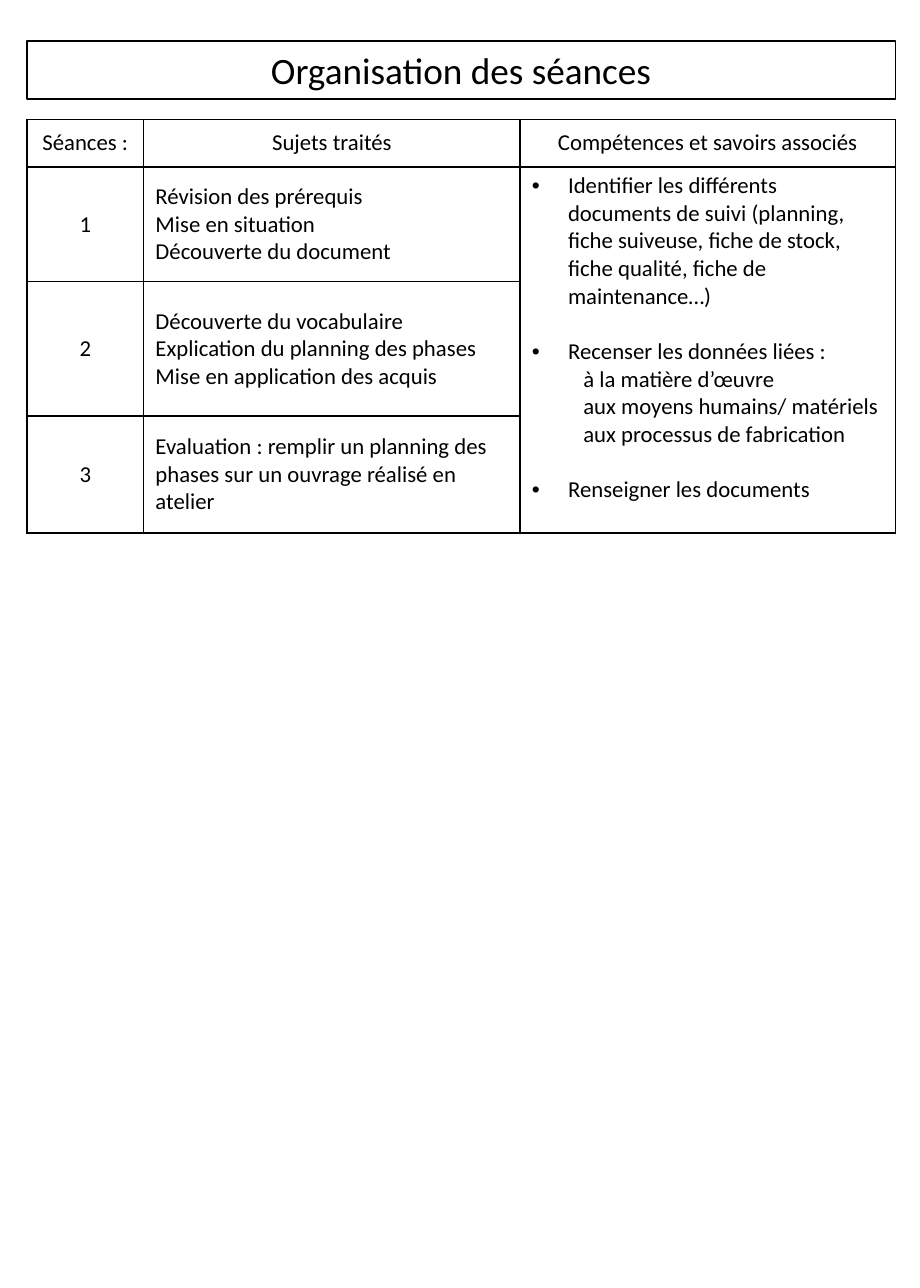
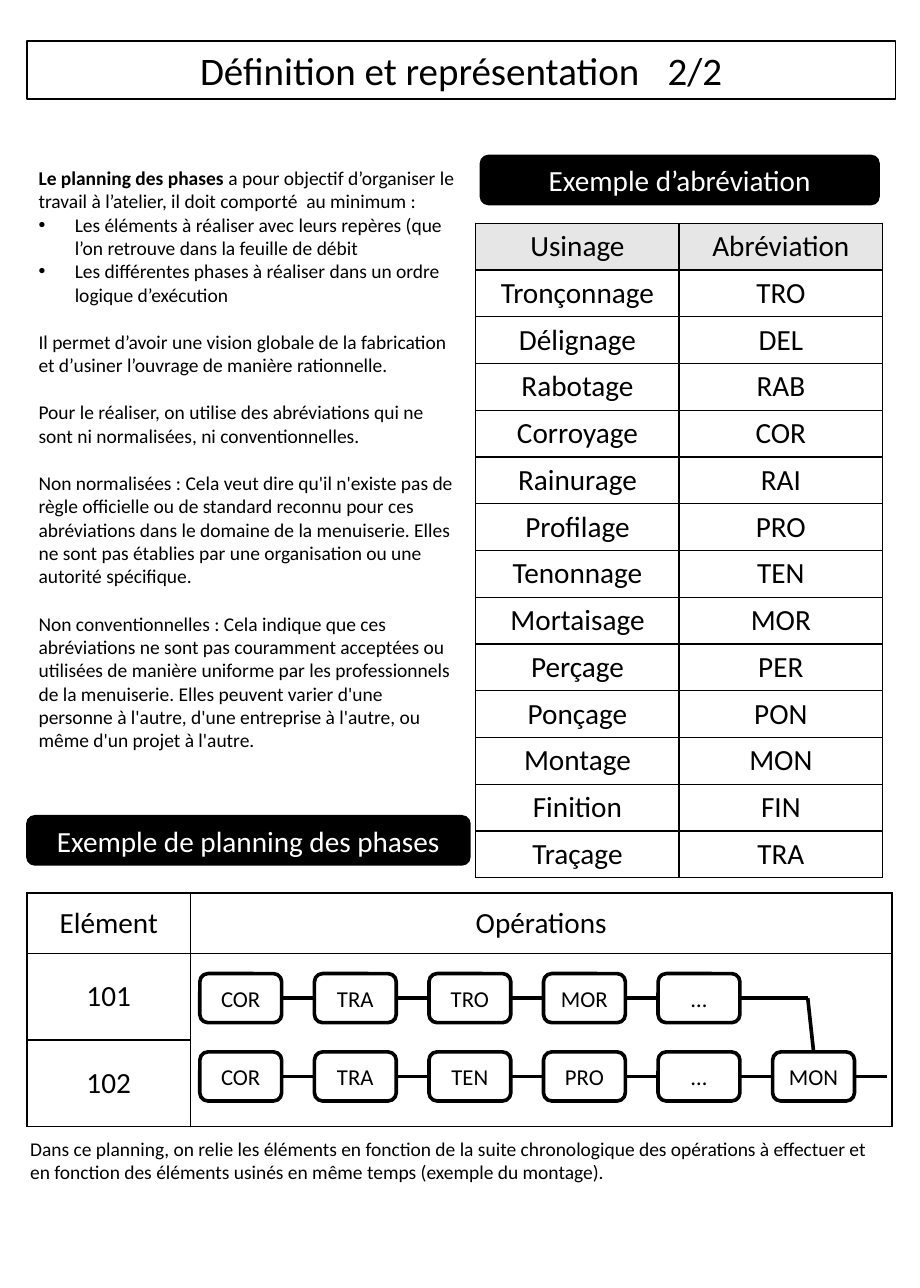
from dataclasses import dataclass

from lxml.etree import SubElement
from pptx import Presentation
from pptx.dml.color import RGBColor
from pptx.enum.shapes import MSO_CONNECTOR, MSO_SHAPE
from pptx.enum.text import MSO_ANCHOR, MSO_AUTO_SIZE, PP_ALIGN
from pptx.oxml import parse_xml
from pptx.oxml.ns import nsdecls, qn
from pptx.util import Inches, Pt

# Content: (text, style) lines, where a style names a key of LINE_STYLES
SESSIONS_TITLE = "Organisation des séances"
SESSIONS_HEAD = ["Séances :", "Sujets traités", "Compétences et savoirs associés"]
SESSIONS = [
    ["Révision des prérequis", "Mise en situation", "Découverte du document"],
    ["Découverte du vocabulaire", "Explication du planning des phases",
     "Mise en application des acquis"],
    ["Evaluation : remplir un planning des phases sur un ouvrage réalisé en atelier"],
]
SKILLS = [
    ("Identifier les différents documents de suivi (planning, fiche suiveuse, "
     "fiche de stock, fiche qualité, fiche de maintenance…)", "bullet_end"),
    ("Recenser les données liées :", "bullet"),
    ("à la matière d’œuvre", "sub"),
    ("aux moyens humains/ matériels", "sub"),
    ("aux processus de fabrication", "sub_end"),
    ("Renseigner les documents", "bullet"),
]

DEFINITION_TITLE = "Définition et représentation\t2/2"
DEFINITION_LEAD = "Le planning des phases "
DEFINITION = [
    ("a pour objectif d’organiser le travail à l’atelier, il doit comporté  au minimum :",
     "plain"),
    ("Les éléments à réaliser avec leurs repères (que l’on retrouve dans la feuille "
     "de débit", "bullet"),
    ("Les différentes phases à réaliser dans un ordre logique d’exécution", "bullet_end"),
    ("Il permet d’avoir une vision globale de la fabrication et d’usiner l’ouvrage de "
     "manière rationnelle.", "plain_end"),
    ("Pour le réaliser, on utilise des abréviations qui ne sont ni normalisées, ni "
     "conventionnelles.", "plain_end"),
    ("Non normalisées : Cela veut dire qu'il n'existe pas de règle officielle ou de "
     "standard reconnu pour ces abréviations dans le domaine de la menuiserie. Elles ne "
     "sont pas établies par une organisation ou une autorité spécifique.", "plain_end"),
    ("Non conventionnelles : Cela indique que ces abréviations ne sont pas couramment "
     "acceptées ou utilisées de manière uniforme par les professionnels de la menuiserie. "
     "Elles peuvent varier d'une personne à l'autre, d'une entreprise à l'autre, ou même "
     "d'un projet à l'autre.", "plain"),
]
ABBREVIATIONS = [
    ("Usinage", "Abréviation"), ("Tronçonnage", "TRO"), ("Délignage", "DEL"),
    ("Rabotage", "RAB"), ("Corroyage", "COR"), ("Rainurage", "RAI"),
    ("Profilage", "PRO"), ("Tenonnage", "TEN"), ("Mortaisage", "MOR"),
    ("Perçage", "PER"), ("Ponçage", "PON"), ("Montage", "MON"),
    ("Finition", "FIN"), ("Traçage", "TRA"),
]
BANNERS = [("Exemple d’abréviation", (4.11, 1.33, 3.41, 0.42)),
           ("Exemple de planning des phases", (0.23, 6.98, 3.79, 0.42))]
PLANNING_HEAD = ["Elément", "Opérations"]
PLANNING = {"101": ["COR", "TRA", "TRO", "MOR", "…"],
            "102": ["COR", "TRA", "TEN", "PRO", "…", "MON"]}
PLANNING_NOTE = ("Dans ce planning, on relie les éléments en fonction de la suite "
                 "chronologique des opérations à effectuer et en fonction des éléments "
                 "usinés en même temps (exemple du montage).")


@dataclass(frozen=True)
class Theme:
    font: str = "Calibri"
    ink: RGBColor = RGBColor(0, 0, 0)
    paper: RGBColor = RGBColor(255, 255, 255)
    header: RGBColor = RGBColor(0xE7, 0xE6, 0xE6)
    heading: float = 18
    body: float = 14
    small: float = 12
    thin: float = 1
    thick: float = 2.25


THEME = Theme()
PAGE_W, PAGE_H, LEFT = 7.87, 11.02, 0.23
TITLE_W, TITLE_TOP = PAGE_W - 0.44, 0.35
LINE_HEIGHT = 1.22
# Left margin, first-line indent, bullet
LINE_STYLES = {"plain": (0, 0, False), "bullet": (0.31, -0.31, True), "sub": (0.44, 0, False)}
RIGHT_SITE, LEFT_SITE = 3, 1


# Text
def style_runs(paragraph, size, color=THEME.ink):
    for run in paragraph.runs:
        run.font.name, run.font.size = THEME.font, Pt(size)
        run.font.color.rgb = color


def write(frame, text, size, color=THEME.ink, align=PP_ALIGN.CENTER):
    frame.text = text
    for paragraph in frame.paragraphs:
        paragraph.alignment = align
        style_runs(paragraph, size, color)


def write_lines(frame, lines, size, lead=None):
    for i, (text, style) in enumerate(lines):
        paragraph = frame.add_paragraph() if i else frame.paragraphs[0]
        paragraph.text = text if i or not lead else lead
        if lead and not i:
            paragraph.add_run().text = text
            paragraph.runs[0].font.bold = True
        style_runs(paragraph, size)
        paragraph.alignment = PP_ALIGN.LEFT
        paragraph.space_before = Pt(0)
        paragraph.space_after = Pt(size * LINE_HEIGHT if style.endswith("_end") else 0)
        margin, indent, bullet = LINE_STYLES[style.removesuffix("_end")]
        props = paragraph._p.get_or_add_pPr()
        props.set("marL", str(Inches(margin)))
        props.set("indent", str(Inches(indent)))
        if bullet:
            SubElement(props, qn("a:buFont"), typeface="Arial")
            SubElement(props, qn("a:buChar"), char="•")
        else:
            SubElement(props, qn("a:buNone"))


# Shapes
def place(shape, left, top, width, height):
    shape.left, shape.top = Inches(left), Inches(top)
    shape.width, shape.height = Inches(width), Inches(height)


def paint(shape, fill, line_width):
    shape.fill.solid()
    shape.fill.fore_color.rgb = fill
    shape.line.color.rgb = THEME.ink
    shape.line.width = Pt(line_width)


def add_page(deck, layout, title, size):
    slide = deck.slides.add_slide(deck.slide_layouts.get_by_name(layout))
    heading = slide.shapes.title
    place(heading, LEFT, TITLE_TOP, TITLE_W, 0.5)
    paint(heading, THEME.paper, THEME.thin)
    heading.text_frame.auto_size = MSO_AUTO_SIZE.NONE
    write(heading.text_frame, title, size)
    return slide


def add_box(slide, text, box, fill, color, size, line_width):
    shape = slide.shapes.add_shape(MSO_SHAPE.ROUNDED_RECTANGLE, *map(Inches, box))
    shape.shadow.inherit = False
    paint(shape, fill, line_width)
    shape.text_frame.vertical_anchor = MSO_ANCHOR.MIDDLE
    write(shape.text_frame, text, size, color)
    return shape


def add_link(slide, start, end):
    link = slide.shapes.add_connector(MSO_CONNECTOR.STRAIGHT, *map(Inches, start + end))
    link.line.color.rgb = THEME.ink
    link.line.width = Pt(THEME.thick)
    SubElement(link._element.spPr, qn("a:effectLst"))
    return link


def add_grid(slide, left, top, widths, heights):
    table = slide.shapes.add_table(
        len(heights), len(widths),
        *map(Inches, (left, top, sum(widths), sum(heights)))).table
    table.first_row = table.horz_banding = False
    for column, width in zip(table.columns, widths):
        column.width = Inches(width)
    for row, height in zip(table.rows, heights):
        row.height = Inches(height)
    for cell in table.iter_cells():
        cell.fill.background()
        cell.vertical_anchor = MSO_ANCHOR.MIDDLE
        cell.margin_top = cell.margin_bottom = Inches(0.04)
        for i, side in enumerate(("lnL", "lnR", "lnT", "lnB")):
            cell._tc.get_or_add_tcPr().insert(i, parse_xml(
                f'<a:{side} {nsdecls("a")} w="{Pt(THEME.thin)}"><a:solidFill>'
                f'<a:srgbClr val="{THEME.ink}"/></a:solidFill></a:{side}>'))
    return table


def write_row(table, row, texts, size):
    for column, text in enumerate(texts):
        write(table.cell(row, column).text_frame, text, size)


# Slide 1
def build_sessions(deck):
    slide = add_page(deck, "Title Only", SESSIONS_TITLE, 22.9)
    table = add_grid(slide, LEFT, 1.02, [1, 3.22, 3.21], [0.41, 0.98, 1.15, 1])
    write_row(table, 0, SESSIONS_HEAD, THEME.body)
    for number, subjects in enumerate(SESSIONS, 1):
        write_row(table, number, [str(number)], THEME.body)
        write_lines(table.cell(number, 1).text_frame,
                    [(subject, "plain") for subject in subjects], THEME.body)
    skills = table.cell(1, 2)
    skills.merge(table.cell(len(SESSIONS), 2))
    skills.vertical_anchor = MSO_ANCHOR.TOP
    write_lines(skills.text_frame, SKILLS, THEME.body)


# Slide 2
def build_flow(slide):
    left, top, pitch, row_pitch, width, height = 1.71, 8.33, 0.98, 0.67, 0.7, 0.42
    for row, steps in enumerate(PLANNING.values()):
        previous = None
        for column, step in enumerate(steps):
            box = (left + column * pitch, top + row * row_pitch, width, height)
            phase = add_box(slide, step, box, THEME.paper, THEME.ink, THEME.body, THEME.thick)
            if previous:
                link = add_link(slide, (0, 0), (0, 0))
                link.begin_connect(previous, RIGHT_SITE)
                link.end_connect(phase, LEFT_SITE)
            previous = phase

    # First row joins the assembly step, which leads out to the right
    assembly = left + (len(PLANNING["102"]) - 1) * pitch
    first_end = left + (len(PLANNING["101"]) - 1) * pitch + width
    middle = top + height / 2
    bend = (assembly + 0.3, middle)
    add_link(slide, (first_end, middle), bend)
    add_link(slide, bend, (assembly + width / 2, top + row_pitch))
    out = middle + row_pitch
    add_link(slide, (assembly + width, out), (assembly + pitch, out))


def build_definition(deck):
    slide = add_page(deck, "Title and Content", DEFINITION_TITLE, 24)
    definition = slide.placeholders[1]
    place(definition, LEFT, 1.37, 3.79, 5.35)
    definition.text_frame.auto_size = MSO_AUTO_SIZE.NONE
    write_lines(definition.text_frame, DEFINITION, THEME.small, DEFINITION_LEAD)

    abbreviations = add_grid(slide, 4.07, 1.91, [1.74] * 2, [0.4] * len(ABBREVIATIONS))
    for row, pair in enumerate(ABBREVIATIONS):
        write_row(abbreviations, row, pair, THEME.heading)
    for cell in abbreviations.rows[0].cells:
        cell.fill.solid()
        cell.fill.fore_color.rgb = THEME.header

    for text, box in BANNERS:
        add_box(slide, text, box, THEME.ink, THEME.paper, THEME.heading, THEME.thin)

    planning = add_grid(slide, LEFT, 7.64, [1.4, 6], [0.52] + [0.74] * len(PLANNING))
    write_row(planning, 0, PLANNING_HEAD, THEME.heading)
    for row, element in enumerate(PLANNING, 1):
        write_row(planning, row, [element], THEME.heading)
    planning.cell(1, 1).merge(planning.cell(len(PLANNING), 1))
    build_flow(slide)

    note = slide.shapes.add_textbox(*map(Inches, (0.16, 9.68, 7.47, 0.5)))
    note.text_frame.word_wrap = True
    write(note.text_frame, PLANNING_NOTE, THEME.small, align=PP_ALIGN.LEFT)


def main():
    deck = Presentation()
    deck.slide_width, deck.slide_height = Inches(PAGE_W), Inches(PAGE_H)
    build_sessions(deck)
    build_definition(deck)
    deck.save("out.pptx")


if __name__ == "__main__":
    main()
